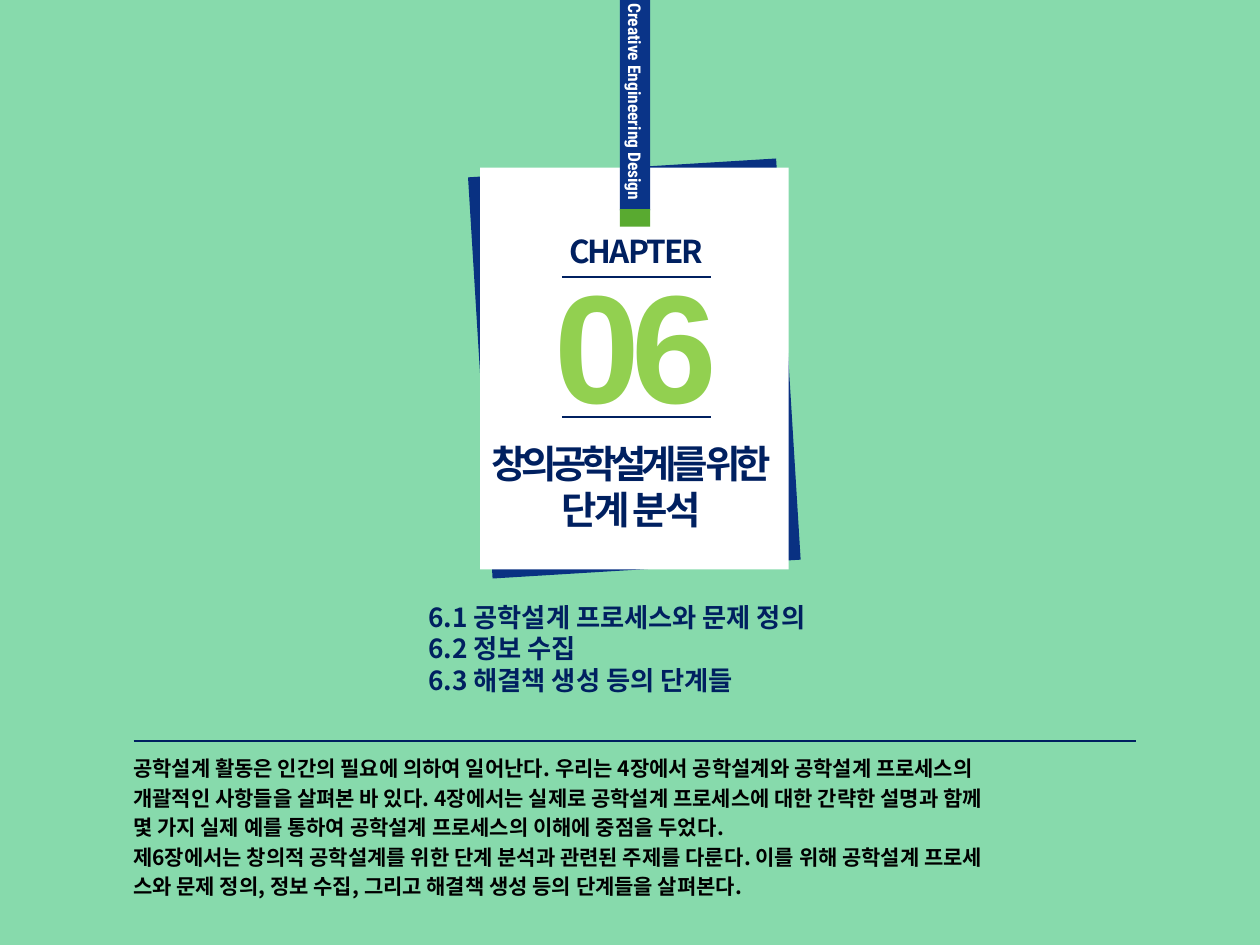
from pptx import Presentation
from pptx.util import Inches, Pt
from pptx.dml.color import RGBColor
from pptx.enum.shapes import MSO_SHAPE as Shape, MSO_CONNECTOR as Conn
from pptx.enum.text import PP_ALIGN as Align, MSO_ANCHOR as Anchor
from pptx.oxml.ns import qn
from lxml.etree import SubElement

# The grid has 100 columns and 75 rows
CELL = Inches(0.1)
COLORS = {
    "mint": "87DAAC", "shade": "093182", "white": "FFFFFF",
    "strap": "0A3488", "clip": "59AA30", "lime": "92D050",
    "navy": "002060", "black": "000000",
}
KOREAN = "Noto Sans CJK KR"


def color(name):
    return RGBColor.from_string(COLORS[name])


def grid(*cells):
    return [round(cell * CELL) for cell in cells]


class Painter:
    def __init__(self, deck):
        self.slide = deck.slides.add_slide(deck.slide_layouts[6])
        self.shapes = self.slide.shapes

    def back(self, fill):
        paint = self.slide.background.fill
        paint.solid()
        paint.fore_color.rgb = color(fill)

    def rect(self, box, fill, turn=0):
        shape = self.shapes.add_shape(Shape.RECTANGLE, *grid(*box))
        shape.shadow.inherit = False
        shape.fill.solid()
        shape.fill.fore_color.rgb = color(fill)
        shape.line.fill.background()
        shape.rotation = turn
        return shape

    def rule(self, left, right, row, width):
        line = self.shapes.add_connector(
            Conn.STRAIGHT, *grid(left, row, right, row))
        line.line.color.rgb = color("navy")
        line.line.width = Pt(width)
        SubElement(line._element.spPr, qn("a:effectLst"))

    def style(self, para, size, font, ink, track=0):
        for run in para.runs:
            run.font.size = Pt(size)
            run.font.bold = True
            run.font.color.rgb = color(ink)
            run.font.name = font
            props = run._r.get_or_add_rPr()
            SubElement(props, qn("a:ea")).set("typeface", font)
            if track:
                props.set("spc", str(round(track * 100)))

    def text(self, box, lines, size, ink="navy", font=KOREAN,
             align=Align.LEFT, tracks=(), gap=0):
        frame = self.shapes.add_textbox(*grid(*box)).text_frame
        frame.word_wrap = True
        frame.text = "\n".join(lines)
        for i, para in enumerate(frame.paragraphs):
            para.alignment = align
            if font == KOREAN:
                para.line_spacing = Pt(size * 1.2)
            if i and gap:
                para.space_before = Pt(gap)
            self.style(para, size, font, ink, tracks[i] if tracks else 0)

    def strap(self, box, label):
        shape = self.rect(box, "strap")
        frame = shape.text_frame
        frame.margin_left = frame.margin_top = frame.margin_right = 0
        frame.margin_bottom = Inches(0.08)
        frame.vertical_anchor = Anchor.MIDDLE
        frame._txBody.bodyPr.set("vert", "vert")
        frame.text = label
        para = frame.paragraphs[0]
        para.alignment = Align.RIGHT
        self.style(para, 10, "Roboto Condensed", "white")


def main():
    deck = Presentation()
    deck.slide_width, deck.slide_height = grid(100, 75)
    page = Painter(deck)
    page.back("mint")

    # Name card on its strap
    card = (38.1, 13.3, 24.5, 31.9)
    page.rect(card, "shade", turn=356.5)
    page.rect(card, "white")
    page.strap((49.2, 0, 2.4, 16.7), "Creative Engineering Design")
    page.rect((49.2, 16.6, 2.4, 1.4), "clip")

    # Chapter number between two rules
    page.text((40.8, 19.3, 19.4, 15.8), ["06"], 88, "lime", "Arial",
              Align.CENTER, [-5])
    page.text((43, 17.9, 15, 4), ["CHAPTER"], 18,
              align=Align.CENTER, tracks=[-1.1])
    for row in (22, 33.1):
        page.rule(44.6, 56.4, row, 1)

    # Summary
    page.text((9.6, 59.5, 90, 11.8), [
        "공학설계 활동은 인간의 필요에 의하여 일어난다. 우리는 4장에서 공학설계와 공학설계 프로세스의",
        "개괄적인 사항들을 살펴본 바 있다. 4장에서는 실제로 공학설계 프로세스에 대한 간략한 설명과 함께",
        "몇 가지 실제 예를 통하여 공학설계 프로세스의 이해에 중점을 두었다.",
        "제6장에서는 창의적 공학설계를 위한 단계 분석과 관련된 주제를 다룬다. 이를 위해 공학설계 프로세",
        "스와 문제 정의, 정보 수집, 그리고 해결책 생성 등의 단계들을 살펴본다.",
    ], 12, "black", gap=2.4)

    # Sections
    page.text((33, 47.2, 50, 8.6), [
        "6.1 공학설계 프로세스와 문제 정의",
        "6.2 정보 수집",
        "6.3 해결책 생성 등의 단계들",
    ], 15)

    # Chapter title
    page.text((36.7, 34.4, 26.8, 8.4), ["창의공학설계를 위한", "단계 분석"], 22,
              align=Align.CENTER, tracks=[-3, -1.5])
    page.rule(10.6, 90.2, 58.8, 0.75)

    deck.save("out.pptx")


if __name__ == "__main__":
    main()
